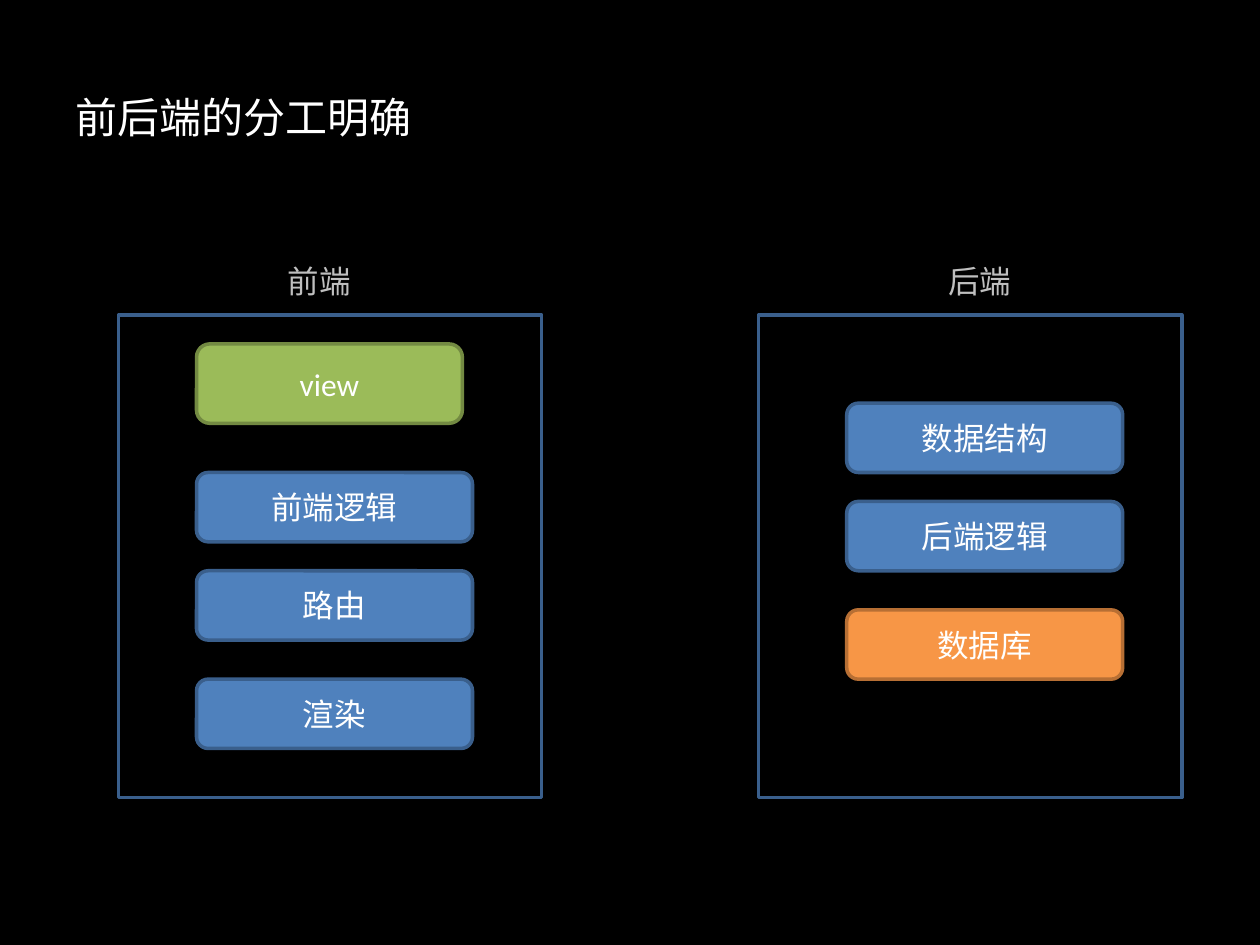
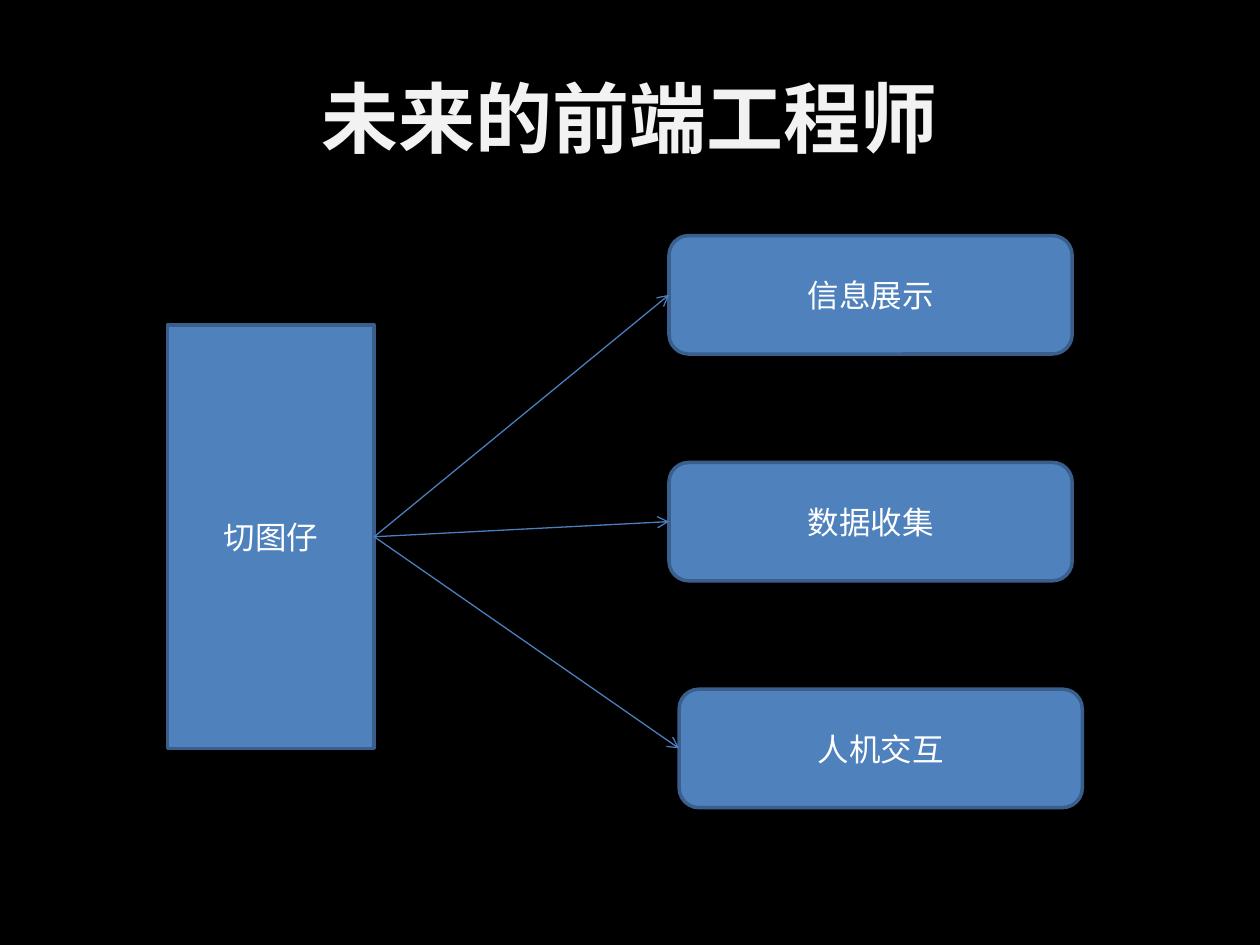
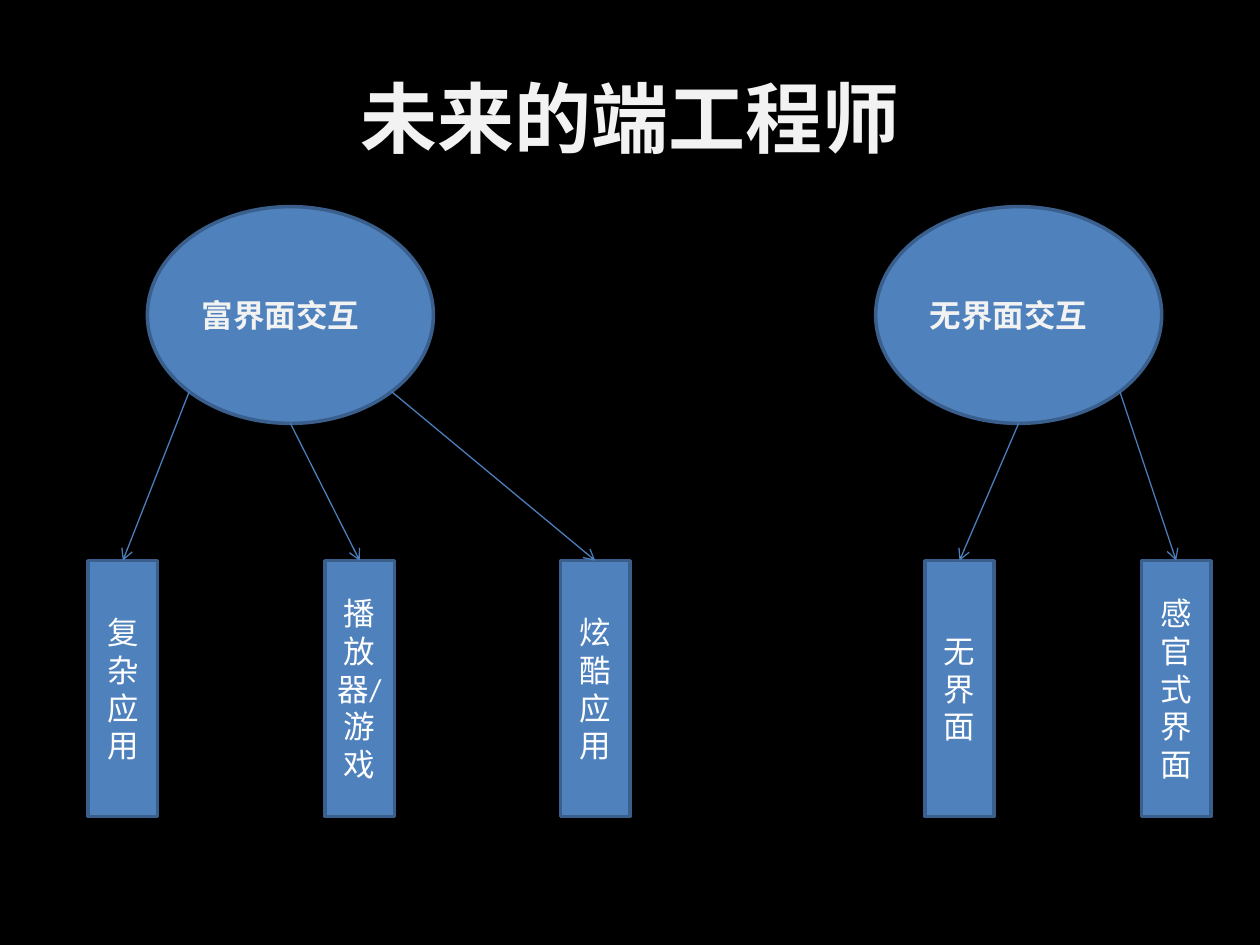
from lxml.etree import SubElement
from pptx import Presentation
from pptx.dml.color import RGBColor
from pptx.enum.shapes import MSO_CONNECTOR, MSO_SHAPE
from pptx.enum.text import MSO_ANCHOR, PP_ALIGN
from pptx.oxml.ns import qn
from pptx.util import Inches, Pt

FONT = "Calibri"
BLACK, WHITE, OFF_WHITE, GREY = "000000", "FFFFFF", "F2F2F2", "BFBFBF"
BLUE, BLUE_EDGE, ARROW = "4F81BD", "3A5F8C", "4B7EBC"
GREEN, GREEN_EDGE = "9BBB59", "738A42"
ORANGE, ORANGE_EDGE = "F79646", "B76F34"
RECT, ROUND, OVAL = MSO_SHAPE.RECTANGLE, MSO_SHAPE.ROUNDED_RECTANGLE, MSO_SHAPE.OVAL
DIAGONAL = 0.3536


def rgb(value):
    return RGBColor.from_string(value)


def write(sp, text, size=18, color=WHITE, bold=False, align=PP_ALIGN.CENTER,
          anchor=MSO_ANCHOR.MIDDLE):
    tf = sp.text_frame
    tf.word_wrap = True
    tf.vertical_anchor = anchor
    p = tf.paragraphs[0]
    p.alignment = align
    r = p.add_run()
    r.text = text
    r.font.name = FONT
    r.font.size = Pt(size)
    r.font.bold = bold
    r.font.color.rgb = rgb(color)


def add_slide(prs):
    s = prs.slides.add_slide(prs.slide_layouts[6])
    s.background.fill.solid()
    s.background.fill.fore_color.rgb = rgb(BLACK)
    return s


def add_text(s, x, y, w, h, text, **style):
    sp = s.shapes.add_textbox(Inches(x), Inches(y), Inches(w), Inches(h))
    write(sp, text, **style)


def add_title(s, text, size=44, color=OFF_WHITE, bold=True, align=PP_ALIGN.CENTER):
    add_text(s, 0.5, 0.3, 9, 1.25, text, size=size, color=color, bold=bold, align=align)


def add_box(s, kind, x, y, w, h, text="", fill=BLUE, edge=BLUE_EDGE, **style):
    sp = s.shapes.add_shape(kind, Inches(x), Inches(y), Inches(w), Inches(h))
    sp.shadow.inherit = False
    sp.fill.solid()
    sp.fill.fore_color.rgb = rgb(fill)
    sp.line.color.rgb = rgb(edge)
    sp.line.width = Pt(2)
    if text:
        write(sp, text, **style)
    return sp


def point_on(sp, across, down):
    return int(sp.left + sp.width * across), int(sp.top + sp.height * down)


def add_arrow(s, start, end):
    c = s.shapes.add_connector(MSO_CONNECTOR.STRAIGHT, *start, *end)
    c.line.color.rgb = rgb(ARROW)
    c.line.width = Pt(0.75)
    SubElement(c.line._get_or_add_ln(), qn("a:tailEnd"), type="arrow")
    SubElement(c._element.spPr, qn("a:effectLst"))


def division_slide(prs):
    s = add_slide(prs)
    add_title(s, "前后端的分工明确", size=24, color=WHITE, bold=False, align=PP_ALIGN.LEFT)
    for frame_x, label_x, label in ((0.94, 1.87, "前端"), (6.02, 7.11, "后端")):
        add_box(s, RECT, frame_x, 2.5, 3.36, 3.83, fill=BLACK)
        add_text(s, label_x, 2.03, 1.33, 0.4, label, color=GREY, anchor=MSO_ANCHOR.TOP)
    add_box(s, ROUND, 1.56, 2.73, 2.11, 0.63, "view", GREEN, GREEN_EDGE)
    columns = (
        (1.56, 3.75, (("前端逻辑", BLUE, BLUE_EDGE), ("路由", BLUE, BLUE_EDGE),
                      ("渲染", BLUE, BLUE_EDGE))),
        (6.72, 3.2, (("数据结构", BLUE, BLUE_EDGE), ("后端逻辑", BLUE, BLUE_EDGE),
                     ("数据库", ORANGE, ORANGE_EDGE))),
    )
    for x, top, layers in columns:
        for offset, (text, fill, edge) in zip((0, 0.78, 1.64), layers):
            add_box(s, ROUND, x, top + offset, 2.19, 0.55, text, fill, edge)


def engineer_slide(prs):
    s = add_slide(prs)
    add_title(s, "未来的前端工程师")
    source = add_box(s, RECT, 1.33, 2.58, 1.64, 3.36, "切图仔")
    duties = ((5.31, "信息展示"), (5.31, "数据收集"), (5.39, "人机交互"))
    for i, (x, text) in enumerate(duties):
        duty = add_box(s, ROUND, x, 1.87 + 1.8 * i, 3.2, 0.94, text)
        add_arrow(s, point_on(source, 1, 0.5), point_on(duty, 0, 0.5))


def interaction_slide(prs):
    s = add_slide(prs)
    add_title(s, "未来的端工程师")
    left, bottom, right = ((0.5 - DIAGONAL, 0.5 + DIAGONAL), (0.5, 1),
                           (0.5 + DIAGONAL, 0.5 + DIAGONAL))
    groups = (
        (1.17, "富界面交互", ((0.7, "复杂应用", left), (2.58, "播放器/游戏", bottom),
                         (4.45, "炫酷应用", right))),
        (6.95, "无界面交互", ((7.34, "无界面", bottom), (9.06, "感官式界面", right))),
    )
    for oval_x, name, examples in groups:
        oval = add_box(s, OVAL, oval_x, 1.64, 2.27, 1.72, name, color=OFF_WHITE,
                       bold=True, align=PP_ALIGN.LEFT)
        for x, text, site in examples:
            example = add_box(s, RECT, x, 4.45, 0.55, 2.03, text)
            add_arrow(s, point_on(oval, *site), point_on(example, 0.5, 0))


def main():
    prs = Presentation()
    prs.slide_width, prs.slide_height = Inches(10), Inches(7.5)
    division_slide(prs)
    engineer_slide(prs)
    interaction_slide(prs)
    prs.save("out.pptx")


if __name__ == "__main__":
    main()
